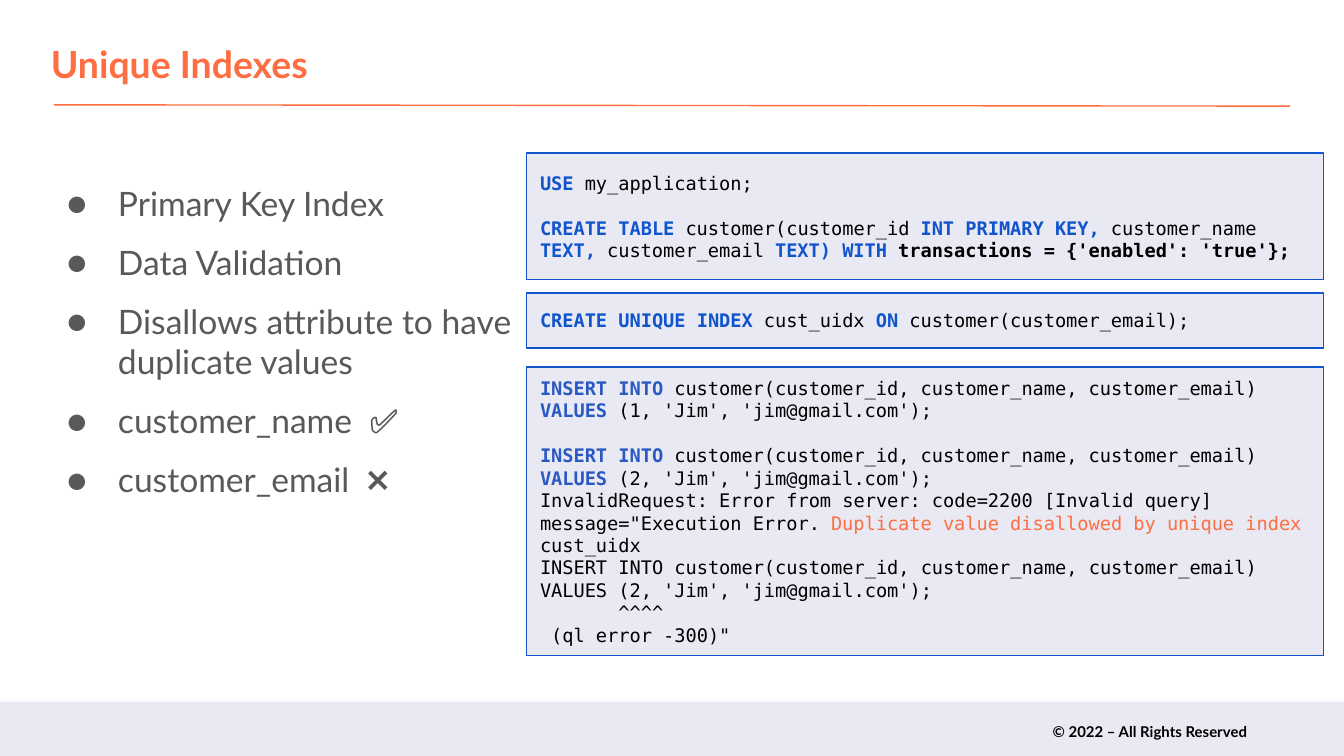
from lxml import etree
from pptx import Presentation
from pptx.dml.color import RGBColor
from pptx.enum.shapes import MSO_CONNECTOR, MSO_SHAPE
from pptx.enum.text import MSO_ANCHOR, PP_ALIGN
from pptx.oxml.ns import qn
from pptx.util import Inches, Pt

RECTANGLE = MSO_SHAPE.RECTANGLE
STRAIGHT = MSO_CONNECTOR.STRAIGHT
TOP, MIDDLE = MSO_ANCHOR.TOP, MSO_ANCHOR.MIDDLE
LEFT, RIGHT = PP_ALIGN.LEFT, PP_ALIGN.RIGHT

THEME = {
    "sans": "Lato", "mono": "DejaVu Sans Mono",
    "accent": "FF6E42", "panel": "E8E9F3", "border": "1155CC",
    "keyword": "1155CC", "insert_keyword": "2B59C3",
    "body": "595959", "black": "000000",
    "title_size": 20, "body_size": 18, "code_size": 10, "footer_size": 8,
    "bullet_gap": 10, "code_gap": 12, "line_width": 0.75,
}

TITLE = "Unique Indexes"
FOOTER = "© 2022 – All Rights Reserved"
POINTS = [
    "Primary Key Index",
    "Data Validation",
    "Disallows attribute to have duplicate values",
    "customer_name  ✅",
    "customer_email  ❌",
]

PLAIN = {}
STRONG = {"bold": True}
KEYWORD = {"color": THEME["keyword"], "bold": True}
INSERT_KEYWORD = {"color": THEME["insert_keyword"], "bold": True}
ERROR = {"color": THEME["accent"]}

COLUMNS = "customer(customer_id, customer_name, customer_email) "


def insert_statement(customer_id):
    return [
        ("INSERT INTO", INSERT_KEYWORD),
        (" " + COLUMNS, PLAIN),
        ("VALUES", INSERT_KEYWORD),
        (f" ({customer_id}, 'Jim', 'jim@gmail.com');", PLAIN),
    ]


CREATE_TABLE = [
    [("USE ", KEYWORD), ("my_application;", PLAIN)],
    [
        ("CREATE TABLE ", KEYWORD), ("customer(customer_id", PLAIN),
        (" INT PRIMARY KEY, ", KEYWORD), ("customer_name", PLAIN),
        (" TEXT, ", KEYWORD), ("customer_email", PLAIN),
        (" TEXT) WITH ", KEYWORD),
        ("transactions = {'enabled': 'true'};", STRONG),
    ],
]
CREATE_INDEX = [[
    ("CREATE UNIQUE INDEX ", KEYWORD), ("cust_uidx", PLAIN),
    (" ON ", KEYWORD), ("customer(customer_email);", PLAIN),
]]
INSERT_ROWS = [
    insert_statement(1),
    insert_statement(2),
    [
        ("InvalidRequest: Error from server: code=2200 [Invalid query] "
         'message="Execution Error. ', PLAIN),
        ("Duplicate value disallowed by unique index", ERROR),
        (" cust_uidx", PLAIN),
    ],
    "INSERT INTO " + COLUMNS + "VALUES (2, 'Jim', 'jim@gmail.com');",
    "       ^^^^",
    ' (ql error -300)"',
]

CODE_LEFT, CODE_WIDTH = 3.92, 5.93
CODE_PANELS = [
    (1.14, 0.94, CREATE_TABLE),
    (2.18, 0.41, CREATE_INDEX),
    (2.73, 2.15, INSERT_ROWS),
]


def add_bullet(paragraph):
    properties = paragraph._p.get_or_add_pPr()
    properties.set("marL", str(Inches(0.5)))
    properties.set("indent", str(Inches(-0.38)))
    bullet_color = etree.SubElement(properties, qn("a:buClr"))
    etree.SubElement(bullet_color, qn("a:srgbClr")).set("val", THEME["body"])
    etree.SubElement(properties, qn("a:buFont")).set("typeface", THEME["sans"])
    etree.SubElement(properties, qn("a:buChar")).set("char", "●")


def write(shape, paragraphs, *, size, font=THEME["sans"], color=THEME["black"],
          bold=False, align=LEFT, anchor=TOP, gaps=None, bullets=False):
    frame = shape.text_frame
    frame.word_wrap = True
    frame.vertical_anchor = anchor
    frame.margin_left = frame.margin_right = Inches(0.1)
    frame.margin_top = frame.margin_bottom = Inches(0.1)
    for index, spans in enumerate(paragraphs):
        paragraph = frame.paragraphs[0] if index == 0 else frame.add_paragraph()
        if bullets:
            add_bullet(paragraph)
        paragraph.alignment = align
        if gaps and index in gaps:
            paragraph.space_before = Pt(gaps[index])
        if isinstance(spans, str):
            spans = [(spans, PLAIN)]
        for text, style in spans:
            run = paragraph.add_run()
            run.text = text
            run.font.name = font
            run.font.size = Pt(size)
            run.font.bold = style.get("bold", bold)
            run.font.color.rgb = RGBColor.from_string(style.get("color", color))


def add_panel(slide, left, top, width, height, border=None):
    panel = slide.shapes.add_shape(
        RECTANGLE, Inches(left), Inches(top), Inches(width), Inches(height))
    panel.shadow.inherit = False
    panel.fill.solid()
    panel.fill.fore_color.rgb = RGBColor.from_string(THEME["panel"])
    if border:
        panel.line.color.rgb = RGBColor.from_string(border)
        panel.line.width = Pt(THEME["line_width"])
    else:
        panel.line.fill.background()
    return panel


def add_text(slide, left, top, width, height, paragraphs, **style):
    box = slide.shapes.add_textbox(
        Inches(left), Inches(top), Inches(width), Inches(height))
    write(box, paragraphs, **style)


def main():
    deck = Presentation()
    deck.slide_width = Inches(10)
    deck.slide_height = deck.slide_width * 9 // 16
    slide = deck.slides.add_slide(deck.slide_layouts[6])

    add_panel(slide, 0, 5.22, 10.01, 0.43)
    add_text(slide, 7.3, 5.26, 2.08, 0.36, [FOOTER], size=THEME["footer_size"],
             bold=True, align=RIGHT, anchor=MIDDLE)

    rule = slide.shapes.add_connector(
        STRAIGHT, Inches(0.4), Inches(0.78), Inches(9.6), Inches(0.79))
    rule.line.color.rgb = RGBColor.from_string(THEME["accent"])
    rule.line.width = Pt(THEME["line_width"])
    etree.SubElement(rule._element.spPr, qn("a:effectLst"))

    add_text(slide, 0.28, 0.21, 9.44, 0.52, [TITLE], size=THEME["title_size"],
             color=THEME["accent"], bold=True)
    point_gaps = {index: THEME["bullet_gap"] for index in range(1, len(POINTS))}
    add_text(slide, 0.28, 1.26, 3.64, 3.1, POINTS, size=THEME["body_size"],
             color=THEME["body"], gaps=point_gaps, bullets=True)

    for top, height, code in CODE_PANELS:
        panel = add_panel(slide, CODE_LEFT, top, CODE_WIDTH, height, THEME["border"])
        write(panel, code, size=THEME["code_size"], font=THEME["mono"],
              anchor=MIDDLE, gaps={1: THEME["code_gap"]})

    deck.save("out.pptx")


if __name__ == "__main__":
    main()
